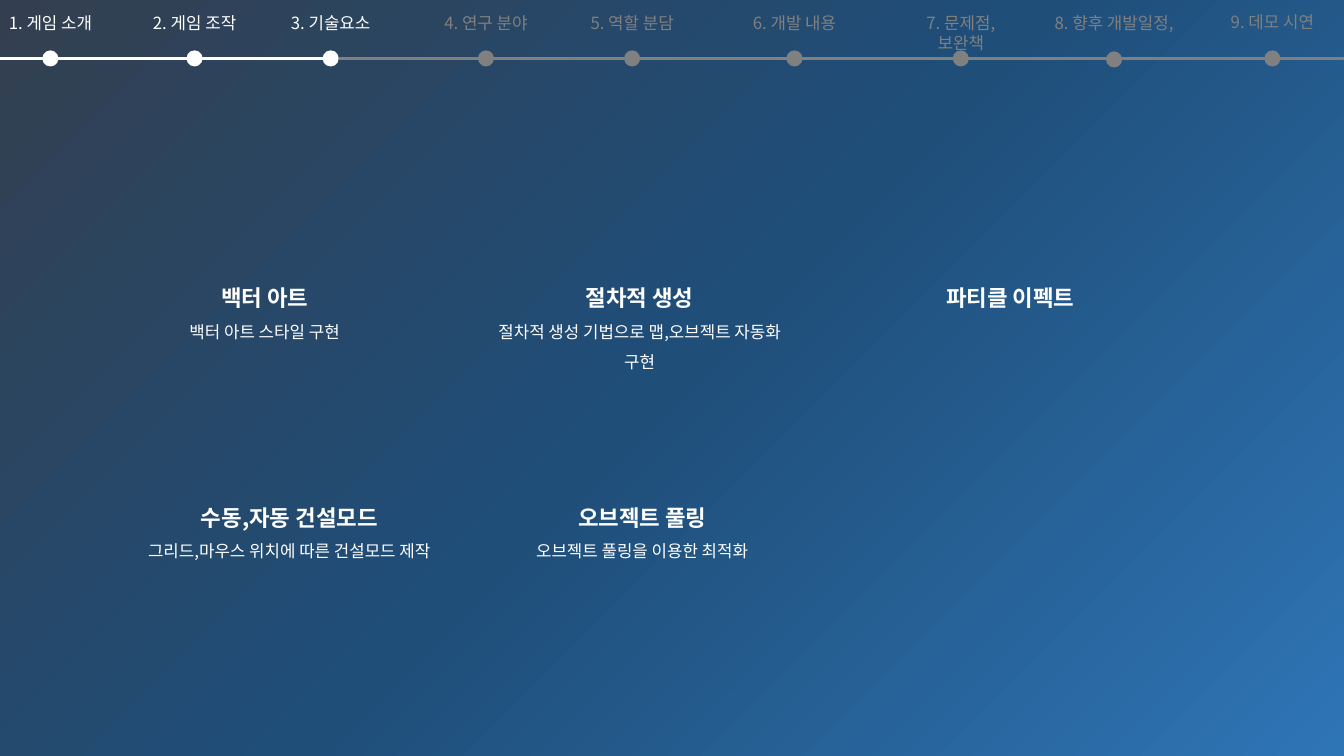
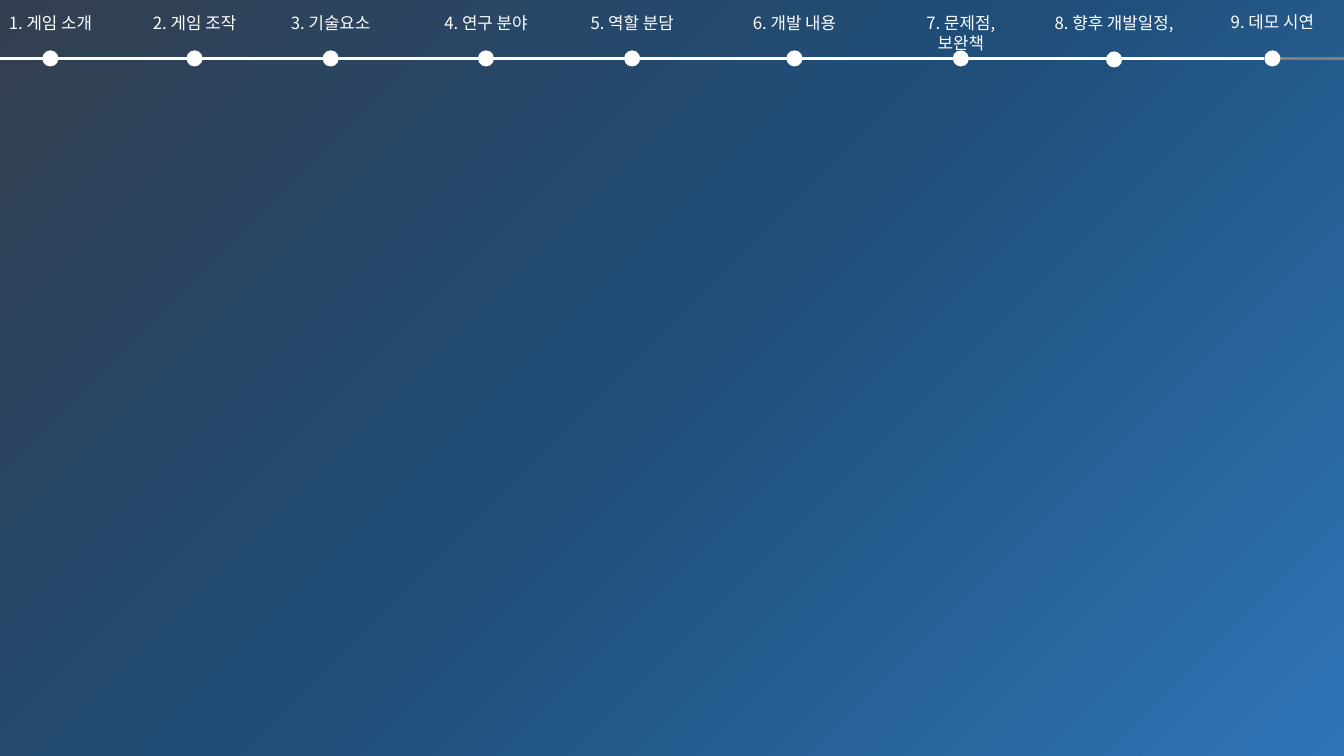
import copy

import pptx
import pptx.dml.color
import pptx.enum.shapes
import pptx.enum.text
import pptx.oxml.ns
import pptx.oxml.xmlchemy
import pptx.util

Inches = pptx.util.Inches
qn = pptx.oxml.ns.qn

FONT = "Noto Sans CJK KR"
WHITE, GREY = "FFFFFF", "808080"
GRADIENT = [(0, "333F50"), (0.5, "1F4E79"), (1, "2E75B6")]
LINE_Y, DOT = 0.58, 0.16

# Text formats
STEP = {"size": pptx.util.Pt(12), "bold": False, "name": FONT}
HEADING = {"size": pptx.util.Pt(16), "bold": True, "name": FONT}

# Timeline steps: label, centre, label width, label top, dot top
STEPS = [
    ("1. 게임 소개", 0.5, 1.12, 0.08, 0.5),
    ("2. 게임 조작", 1.93, 1.12, 0.08, 0.5),
    ("3. 기술요소", 3.28, 1.06, 0.08, 0.5),
    ("4. 연구 분야", 4.82, 1.12, 0.08, 0.5),
    ("5. 역할 분담", 6.27, 1.12, 0.08, 0.5),
    ("6. 개발 내용", 7.88, 1.12, 0.08, 0.5),
    ("7. 문제점,\v보완책", 9.53, 1.44, 0.08, 0.5),
    ("8. 향후 개발일정,", 11.05, 1.5, 0.08, 0.51),
    ("9. 데모 시연", 12.62, 1.12, 0.07, 0.5),
]

# Technical elements: left, top, width, height, heading and description
ELEMENTS = [
    (1.23, 2.64, 2.79, 0.77, ["백터 아트", "백터 아트 스타일 구현"]),
    (4.73, 2.64, 3.23, 1.07, ["절차적 생성", "절차적 생성 기법으로 맵,오브젝트 자동화 구현"]),
    (8.66, 2.64, 2.72, 0.45, ["파티클 이펙트"]),
    (1.37, 4.82, 3, 1.07, ["수동,자동 건설모드", "그리드,마우스 위치에 따른 건설모드 제작"]),
    (4.87, 4.82, 3, 0.77, ["오브젝트 풀링", "오브젝트 풀링을 이용한 최적화"]),
]

# Number of steps reached on each slide, and the elements it shows
SLIDES = [(3, ELEMENTS), (9, [])]


def rgb(value):
    return pptx.dml.color.RGBColor.from_string(value)


def add_text(shapes, box, lines, formats, colour, wrap, spacing=None):
    frame = shapes.add_textbox(*map(Inches, box)).text_frame
    frame.word_wrap = wrap
    frame.auto_size = pptx.enum.text.MSO_AUTO_SIZE.SHAPE_TO_FIT_TEXT
    for index, (line, text_format) in enumerate(zip(lines, formats)):
        paragraph = frame.add_paragraph() if index else frame.paragraphs[0]
        paragraph.text = line
        paragraph.alignment = pptx.enum.text.PP_ALIGN.CENTER
        paragraph.line_spacing = spacing
        for run in paragraph.runs:
            for attribute, value in text_format.items():
                setattr(run.font, attribute, value)
            run.font.color.rgb = rgb(colour)
            # Korean glyphs take the East Asian typeface
            latin = run.font.color and run._r.rPr.find(qn("a:latin"))
            east_asian = copy.deepcopy(latin)
            east_asian.tag = qn("a:ea")
            latin.addnext(east_asian)


prs = pptx.Presentation()
prs.slide_width, prs.slide_height = Inches(13.33), Inches(7.5)

# Shared gradient background on the master
background = prs.slide_master.background.fill
background.gradient()
stop_list = prs.slide_master.element.find(".//" + qn("a:gsLst"))
stop_list.insert(1, copy.deepcopy(stop_list[0]))
for stop, (position, colour) in zip(background.gradient_stops, GRADIENT):
    stop.position = position
    stop.color.rgb = rgb(colour)
background.gradient_angle = 315

for reached, elements in SLIDES:
    slide = prs.slides.add_slide(prs.slide_layouts[6])

    # Progress line: white up to the current step, grey after it
    current = STEPS[reached - 1][1]
    for start, end, colour in [(0, current - DOT / 2, WHITE), (current + DOT / 2, 13.33, GREY)]:
        progress = slide.shapes.add_connector(
            pptx.enum.shapes.MSO_CONNECTOR.STRAIGHT,
            Inches(start), Inches(LINE_Y), Inches(end), Inches(LINE_Y))
        progress.line.color.rgb = rgb(colour)
        progress.line.width = pptx.util.Pt(1.5)
        progress.element.spPr.append(pptx.oxml.xmlchemy.OxmlElement("a:effectLst"))

    # Steps: a dot on the line with its label above
    for number, (label, centre, width, label_top, dot_top) in enumerate(STEPS, 1):
        colour = WHITE if number <= reached else GREY
        step = slide.shapes.add_group_shape().shapes
        dot = step.add_shape(
            pptx.enum.shapes.MSO_SHAPE.OVAL,
            Inches(centre - DOT / 2), Inches(dot_top), Inches(DOT), Inches(DOT))
        dot.shadow.inherit = False
        dot.fill.solid()
        dot.fill.fore_color.rgb = rgb(colour)
        dot.line.fill.background()
        add_text(step, (centre - width / 2, label_top, width, 0.3), [label], [STEP], colour, False)

    # Technical elements
    for *box, lines in elements:
        add_text(slide.shapes, box, lines, [HEADING, STEP], WHITE, True, 1.5)

prs.save("out.pptx")
